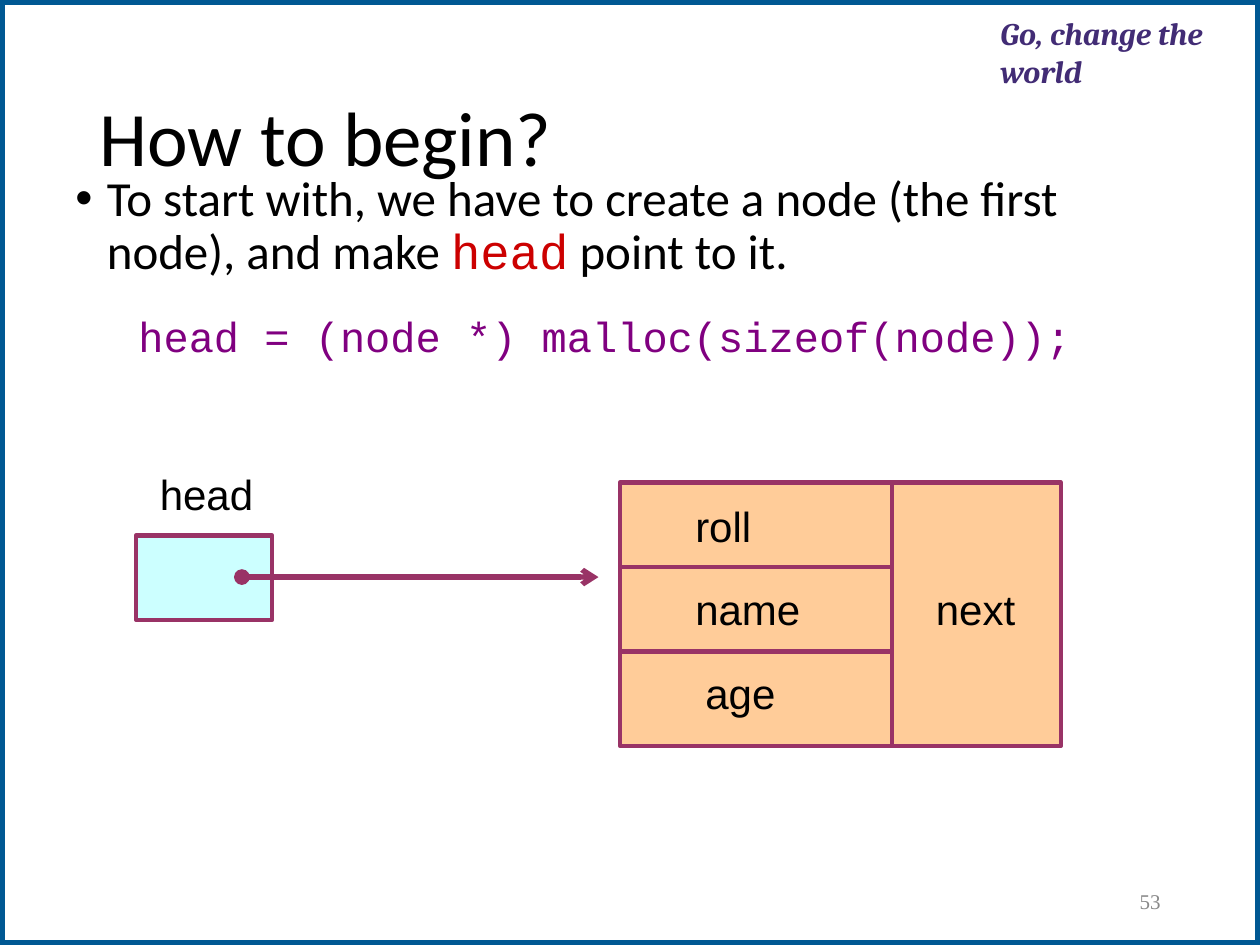
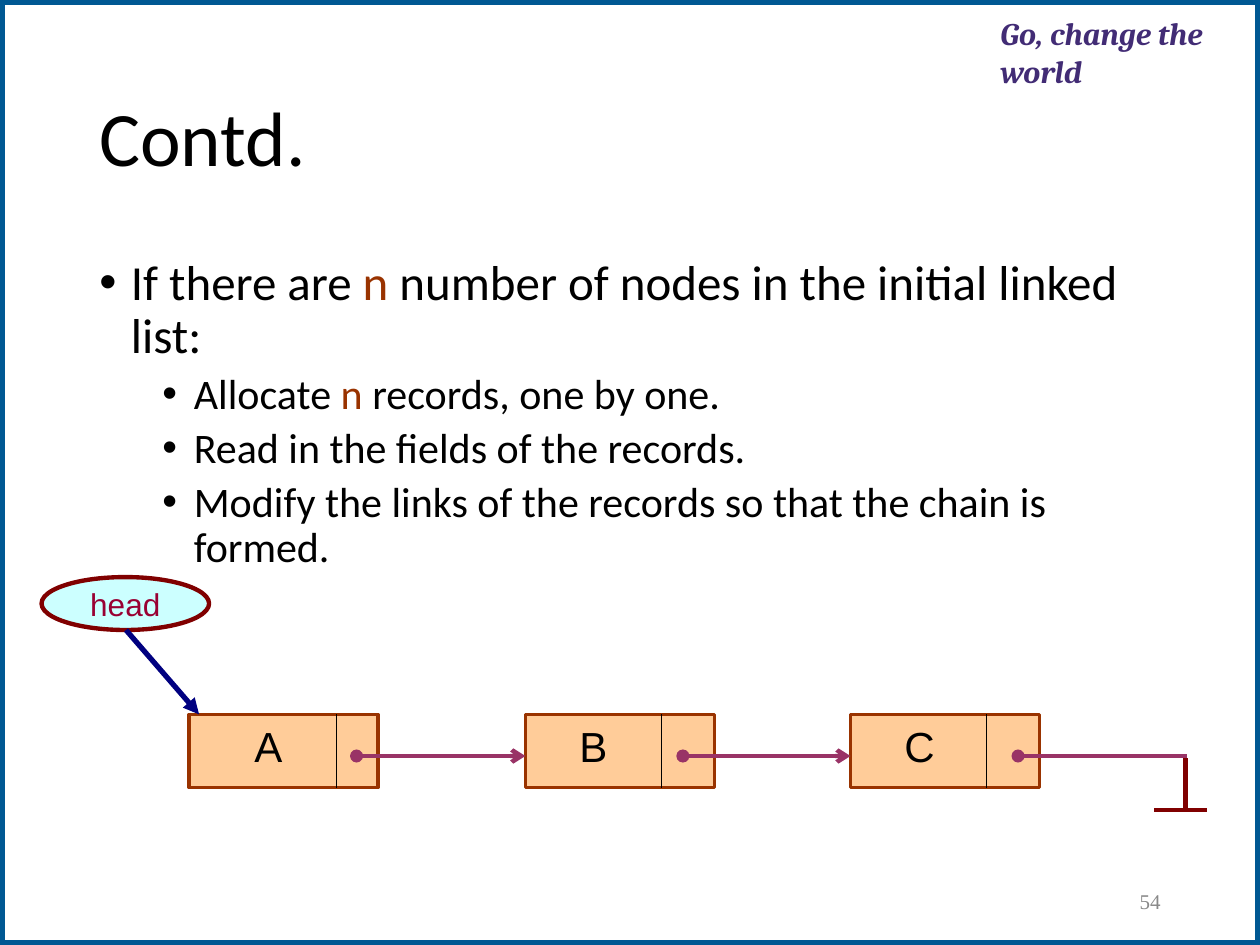
import pptx
import pptx.dml.color
import pptx.enum.shapes
import pptx.enum.text
import pptx.oxml.ns
import pptx.util
from lxml import etree

Inches = pptx.util.Inches
Pt = pptx.util.Pt
RGBColor = pptx.dml.color.RGBColor
SHAPE = pptx.enum.shapes.MSO_SHAPE
ALIGN = pptx.enum.text.PP_ALIGN
ANCHOR = pptx.enum.text.MSO_ANCHOR
qn = pptx.oxml.ns.qn

WHITE = RGBColor(0xFF, 0xFF, 0xFF)
BLACK = RGBColor(0x00, 0x00, 0x00)
FRAME_BLUE = RGBColor(0x00, 0x58, 0x93)
MOTTO_PURPLE = RGBColor(0x42, 0x2C, 0x75)
NUMBER_GRAY = RGBColor(0x89, 0x89, 0x89)
RED = RGBColor(0xCC, 0x00, 0x00)
CODE_PURPLE = RGBColor(0x80, 0x00, 0x80)
PEACH = RGBColor(0xFF, 0xCC, 0x99)
PALE_CYAN = RGBColor(0xCC, 0xFF, 0xFF)
PLUM = RGBColor(0x99, 0x33, 0x66)
BROWN = RGBColor(0x99, 0x33, 0x00)
MAROON = RGBColor(0x80, 0x00, 0x00)
CRIMSON = RGBColor(0x99, 0x00, 0x33)
NAVY = RGBColor(0x00, 0x00, 0x80)

WIDTH, HEIGHT = 10, 7.5


def write(para, text, font="Calibri", size=28, color=BLACK, bold=False, italic=False):
    """Add one formatted span to a paragraph."""
    span = para.add_run()
    span.text = text
    span.font.name = font
    span.font.size = Pt(size)
    span.font.color.rgb = color
    span.font.bold = bold
    span.font.italic = italic


class Pages:
    """Holds the deck, its shared style and the current slide."""

    def __init__(self):
        self.deck = pptx.Presentation()
        self.deck.slide_width = Inches(WIDTH)
        self.deck.slide_height = Inches(HEIGHT)
        self.page = None

    def new_page(self, title, number):
        self.page = self.deck.slides.add_slide(self.deck.slide_layouts[6])
        self.shape(SHAPE.RECTANGLE, 0, 0, WIDTH, HEIGHT, WHITE, FRAME_BLUE, 6)

        motto = self.frame(7.94, 0.1, 2.05, 0.62)
        motto.margin_left = motto.margin_right = motto.margin_bottom = 0
        motto.margin_top = Inches(0.01)
        write(motto.paragraphs[0], "Go, change the world", font="Cambria", size=18,
              color=MOTTO_PURPLE, bold=True, italic=True)

        heading = self.frame(0.69, 0.4, 8.62, 1.45, ANCHOR.MIDDLE).paragraphs[0]
        heading.line_spacing = 0.9
        write(heading, title, size=44)

        footer = self.frame(7.06, 6.95, 2.25, 0.4, ANCHOR.MIDDLE).paragraphs[0]
        footer.alignment = ALIGN.RIGHT
        write(footer, str(number), font="Times New Roman", size=12, color=NUMBER_GRAY)

    def frame(self, left, top, width, height, anchor=ANCHOR.TOP):
        box = self.page.shapes.add_textbox(
            Inches(left), Inches(top), Inches(width), Inches(height))
        box.text_frame.word_wrap = True
        box.text_frame.vertical_anchor = anchor
        return box.text_frame

    def body(self, left, top, width, height, items):
        """Each item is (level, bullet, space before, spans)."""
        frame = self.frame(left, top, width, height)
        for index, (level, bullet, space, spans) in enumerate(items):
            para = frame.add_paragraph() if index else frame.paragraphs[0]
            para.level = level
            para.line_spacing = 0.9
            para.space_before = Pt(space)
            props = para._p.get_or_add_pPr()
            props.set("marL", str(Inches(0.25 + 0.5 * level)))
            props.set("indent", str(Inches(-0.25)))
            if bullet:
                etree.SubElement(props, qn("a:buFont")).set("typeface", "Arial")
                etree.SubElement(props, qn("a:buChar")).set("char", "•")
            else:
                etree.SubElement(props, qn("a:buNone"))
            for text, style in spans:
                write(para, text, **style)

    def label(self, text, left, top, width):
        write(self.frame(left, top, width, 0.5).paragraphs[0], text, font="Arial", size=24)

    def shape(self, kind, left, top, width, height, fill, line, weight):
        shape = self.page.shapes.add_shape(
            kind, Inches(left), Inches(top), Inches(width), Inches(height))
        shape.shadow.inherit = False
        shape.fill.solid()
        shape.fill.fore_color.rgb = fill
        shape.line.color.rgb = line
        shape.line.width = Pt(weight)
        return shape

    def line(self, start, end, color=PLUM, weight=2.5, head=None, tail=None):
        line = self.page.shapes.add_connector(
            pptx.enum.shapes.MSO_CONNECTOR.STRAIGHT,
            *(Inches(value) for value in (*start, *end)))
        line.line.color.rgb = color
        line.line.width = Pt(weight)
        for tag, kind in (("a:headEnd", head), ("a:tailEnd", tail)):
            if kind:
                etree.SubElement(line.line._get_or_add_ln(), qn(tag)).set("type", kind)
        etree.SubElement(line._element.spPr, qn("a:effectLst"))


def first_node_page(pages):
    pages.new_page("How to begin?", 53)
    pages.body(0.5, 1.33, 9, 5.17, [
        (0, True, 10, [
            ("To start with, we have to create a node (the first node), and make ", {}),
            ("head", dict(font="Courier New", color=RED)),
            (" point to it.", {})]),
        (1, False, 21, [
            ("head = (node *) malloc(sizeof(node));",
             dict(font="Courier New", size=24, color=CODE_PURPLE))]),
    ])

    # Record with three fields and a link
    left, top, divider, bottom = 4.92, 3.83, 7.08, 5.92
    pages.shape(SHAPE.RECTANGLE, left, top, 3.5, bottom - top, PEACH, PLUM, 2.5)
    pages.line((divider, top), (divider, bottom))
    for y in (4.5, 5.17):
        pages.line((left, y), (divider, y))
    for text, x, y in (("roll", 5.42, 3.92), ("name", 5.42, 4.58),
                       ("age", 5.5, 5.25), ("next", 7.33, 4.58)):
        pages.label(text, x, y, 1.67)

    # Head pointer
    pages.shape(SHAPE.RECTANGLE, 1.08, 4.25, 1.08, 0.67, PALE_CYAN, PLUM, 2.5)
    pages.line((1.92, 4.58), (4.75, 4.58), weight=3, head="oval", tail="arrow")
    pages.label("head", 1.17, 3.67, 1.17)


def chain_page(pages):
    pages.new_page("Contd.", 54)
    small = dict(size=24)
    pages.body(0.69, 2, 8.62, 4.76, [
        (0, True, 10, [("If there are ", {}), ("n", dict(color=BROWN)),
                       (" number of nodes in the initial linked list:", {})]),
        (1, True, 5, [("Allocate ", small), ("n", dict(size=24, color=BROWN)),
                      (" records, one by one.", small)]),
        (1, True, 5, [("Read in the fields of the records.", small)]),
        (1, True, 5, [("Modify the links of the records so that the chain is formed.",
                       small)]),
    ])

    # Chain of nodes: boxes first, then dividers, names and links
    top, height, pitch, link_y = 5.67, 0.58, 2.58, 6
    lefts = (1.5, 4.17, 6.75)
    link_starts = (2.83, 5.42, 8.08)
    link_ends = (*lefts[1:], 9.42)
    for left in lefts:
        pages.shape(SHAPE.RECTANGLE, left, top, 1.5, height, PEACH, BROWN, 2)
    for index, name in enumerate("ABC"):
        divider = 2.67 + index * pitch
        pages.line((divider, top), (divider, top + height), BLACK, 0.75)
        pages.label(name, 1.92 + index * pitch, top, 0.67)
        pages.line((link_starts[index], link_y), (link_ends[index], link_y),
                   head="oval", tail="arrow" if name != "C" else None)

    # End of the chain
    pages.line((9.41, 6.02), (9.41, 6.43), MAROON)
    pages.line((9.16, 6.43), (9.58, 6.43), MAROON)

    # Head pointer
    head = pages.shape(SHAPE.OVAL, 0.33, 4.58, 1.33, 0.42, PALE_CYAN, MAROON, 2.5)
    head.text_frame.word_wrap = False
    head.text_frame.vertical_anchor = ANCHOR.MIDDLE
    para = head.text_frame.paragraphs[0]
    para.alignment = ALIGN.CENTER
    write(para, "head", font="Arial", size=18, color=CRIMSON)
    pages.line((1, 5), (1.58, top), NAVY, 3, tail="triangle")


def main():
    pages = Pages()
    first_node_page(pages)
    chain_page(pages)
    pages.deck.save("out.pptx")


if __name__ == "__main__":
    main()
